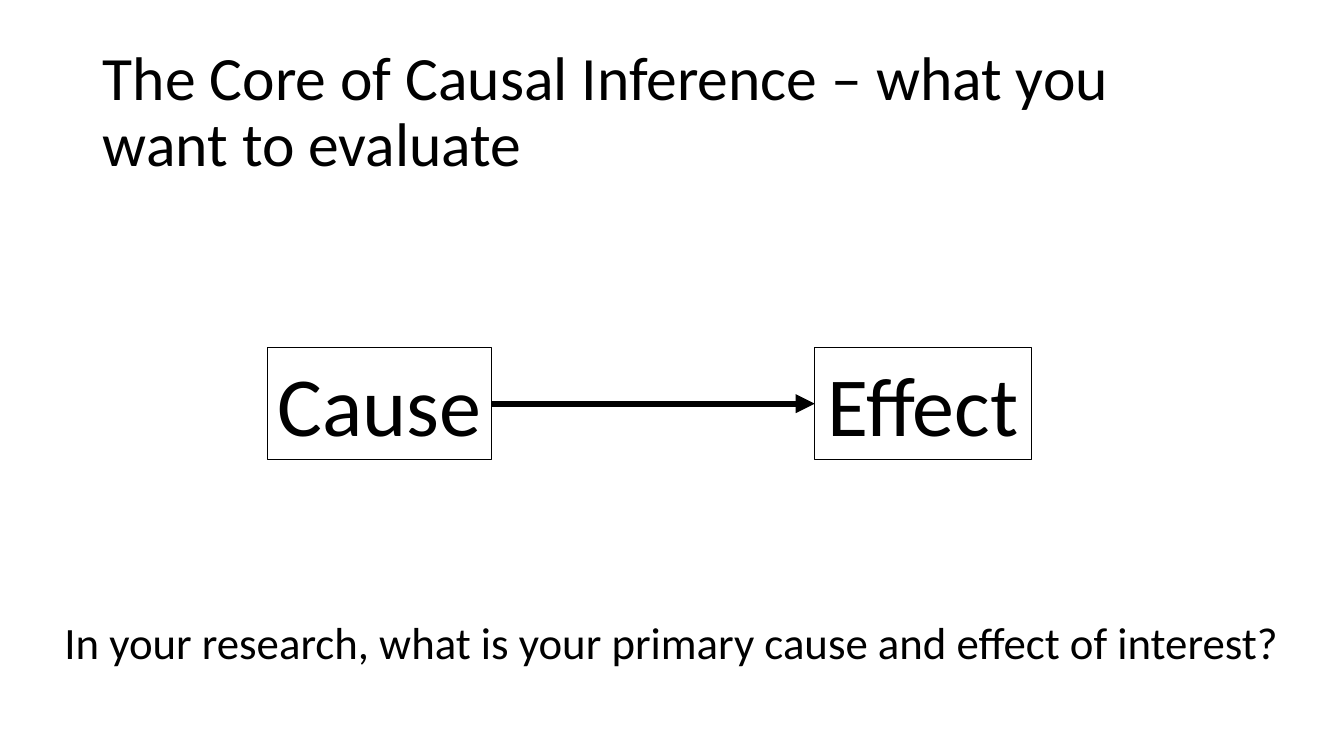
import pptx
import pptx.util
import pptx.dml.color
import pptx.enum.shapes
import pptx.enum.text
import pptx.oxml
import pptx.oxml.ns

Inches = pptx.util.Inches
BLACK = "000000"


def color(hex_value):
    return pptx.dml.color.RGBColor.from_string(hex_value)


def write(shape, text, size, align="CENTER", anchor="TOP", wrap=True, spacing=None):
    frame = shape.text_frame
    frame.word_wrap = wrap
    frame.auto_size = pptx.enum.text.MSO_AUTO_SIZE.NONE
    frame.vertical_anchor = getattr(pptx.enum.text.MSO_ANCHOR, anchor)
    para = frame.paragraphs[0]
    para.alignment = getattr(pptx.enum.text.PP_ALIGN, align)
    para.line_spacing = spacing
    span = para.add_run()
    span.text = text
    span.font.name = "Calibri"
    span.font.size = pptx.util.Pt(size)
    span.font.color.rgb = color(BLACK)


deck = pptx.Presentation()
deck.slide_width = Inches(13.33)
deck.slide_height = Inches(7.5)
page = deck.slides.add_slide(deck.slide_layouts[5])

# Title
title = page.shapes.title
title.left, title.top = Inches(0.92), Inches(0.4)
title.width, title.height = Inches(11.5), Inches(1.45)
write(title, "The Core of Causal Inference – what you want to evaluate", 44,
      align="LEFT", anchor="MIDDLE", spacing=0.9)

# Cause and effect boxes
boxes = []
for label, left, width in [("Cause", 2.65, 2.23), ("Effect", 8.08, 2.15)]:
    box = page.shapes.add_shape(pptx.enum.shapes.MSO_SHAPE.RECTANGLE,
                                Inches(left), Inches(3.45), Inches(width), Inches(1.11))
    box.shadow.inherit = False
    box.fill.background()
    box.line.color.rgb = color(BLACK)
    box.line.width = pptx.util.Pt(0.75)
    write(box, label, 60, wrap=False)
    boxes.append(box)

# Arrow from cause to effect
cause, effect = boxes
arrow = page.shapes.add_connector(pptx.enum.shapes.MSO_CONNECTOR.STRAIGHT, 0, 0, 0, 0)
arrow.begin_connect(cause, 3)
arrow.end_connect(effect, 1)
arrow.line.color.rgb = color(BLACK)
arrow.line.width = pptx.util.Pt(4.5)
tip = pptx.oxml.parse_xml(f'<a:tailEnd {pptx.oxml.ns.nsdecls("a")} type="triangle"/>')
arrow.line._get_or_add_ln().append(tip)
arrow._element.spPr.append(pptx.oxml.parse_xml(f'<a:effectLst {pptx.oxml.ns.nsdecls("a")}/>'))

# Question for the audience
question = page.shapes.add_textbox(0, Inches(6.05), deck.slide_width, Inches(1.18))
write(question, "In your research, what is your primary cause and effect of interest?", 32)

deck.save("out.pptx")
